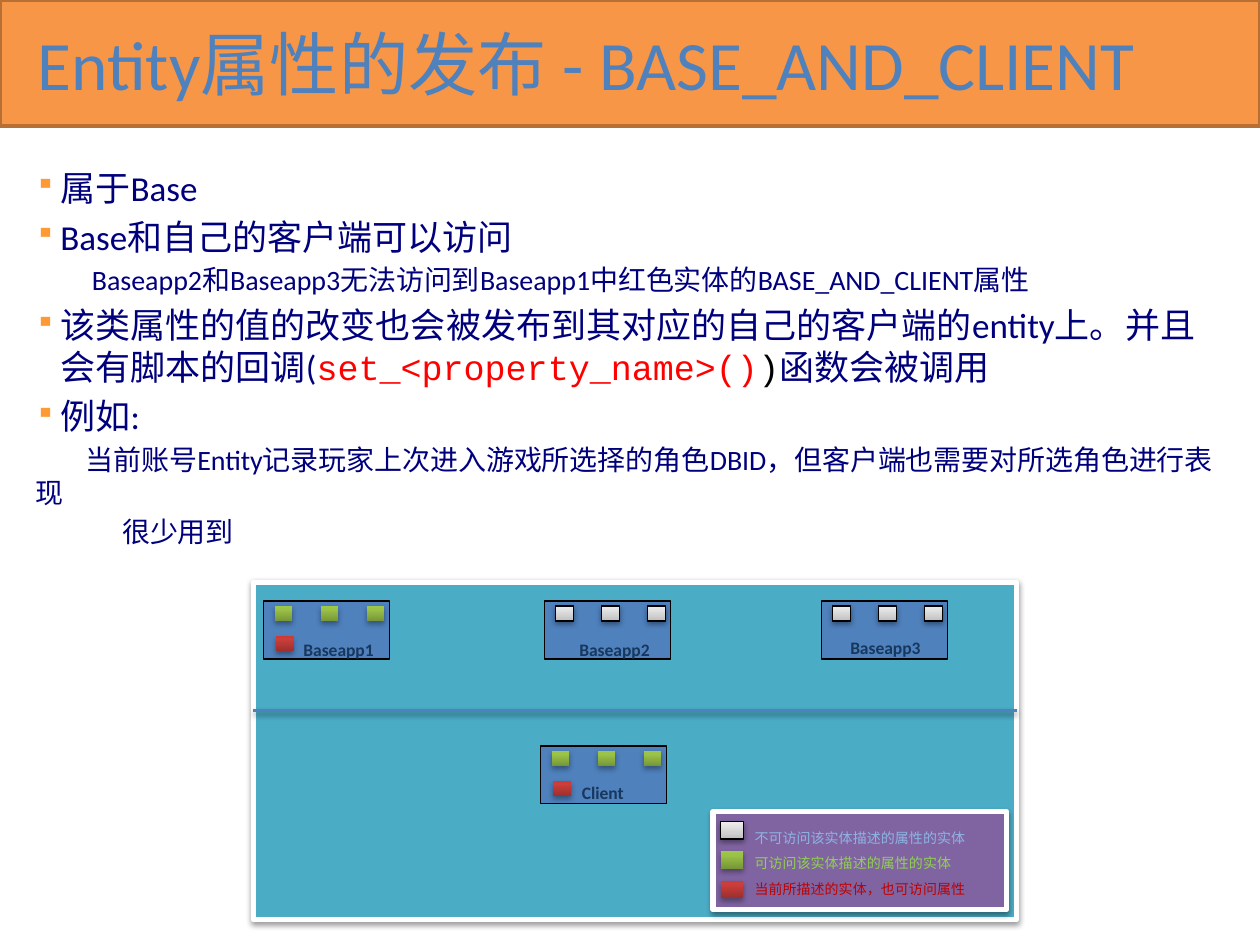
import copy

import pptx
import pptx.dml.color
import pptx.enum.shapes
import pptx.enum.text
import pptx.oxml.ns
import pptx.util
from lxml import etree

Inches, Pt = pptx.util.Inches, pptx.util.Pt
RGBColor = pptx.dml.color.RGBColor
qn = pptx.oxml.ns.qn
RECTANGLE = pptx.enum.shapes.MSO_SHAPE.RECTANGLE

WHITE, BLACK = RGBColor(255, 255, 255), RGBColor(0, 0, 0)
ORANGE, BROWN = RGBColor(0xF7, 0x96, 0x46), RGBColor(0xB7, 0x6F, 0x34)
BLUE, NAVY = RGBColor(0x4F, 0x81, 0xBD), RGBColor(0, 0, 0x7D)
TEAL, PURPLE = RGBColor(0x4B, 0xAC, 0xC6), RGBColor(0x80, 0x64, 0xA2)
LABEL, RED = RGBColor(0x17, 0x37, 0x5E), RGBColor(255, 0, 0)
PALE_BLUE, LIME = RGBColor(0x8E, 0xB4, 0xE3), RGBColor(0x92, 0xD0, 0x50)
DARK_RED = RGBColor(0xC0, 0, 0)
BULLET = "FF9933"

HIDDEN, VISIBLE, CURRENT = "hidden", "visible", "current"
GRADIENTS = {
    HIDDEN: ((0, "BDBDBD"), (0.35, "D1D1D1"), (1, "EEEEEE")),
    VISIBLE: ((0, "779737"), (0.8, "9BC348"), (1, "9DC746")),
    CURRENT: ((0, "9C2F2D"), (0.8, "CB3E3A"), (1, "CE3B37")),
}

TITLE = "Entity属性的发布 - BASE_AND_CLIENT"
# bulleted, size, first-line indent, runs
POINTS = [
    (True, 20, -0.2, [("属于Base", "Calibri", NAVY)]),
    (True, 20, -0.2, [("Base和自己的客户端可以访问", "Calibri", NAVY)]),
    (False, 16, 0.45, [("Baseapp2和Baseapp3无法访问到Baseapp1中红色实体的BASE_AND_CLIENT属性", "Calibri", NAVY)]),
    (True, 20, -0.2, [
        ("该类属性的值的改变也会被发布到其对应的自己的客户端的entity上。并且会有脚本的回调(", "Calibri", NAVY),
        ("set_<property_name>()", "Courier New", RED),
        (")", "Courier New", BLACK),
        ("函数会被调用", "Calibri", NAVY),
    ]),
    (True, 20, -0.2, [("例如:", "Calibri", NAVY)]),
    (False, 16, 0.4, [("当前账号Entity记录玩家上次进入游戏所选择的角色DBID，但客户端也需要对所选角色进行表现", "Calibri", NAVY)]),
    (False, 16, 0.69, [("很少用到", "Calibri", NAVY)]),
]
NODES = [
    ("Baseapp1", 2.09, 4.77, 0.22, 0.25, VISIBLE, True),
    ("Baseapp2", 4.32, 4.77, 0.18, 0.25, HIDDEN, False),
    ("Baseapp3", 6.52, 4.77, 0.13, 0.24, HIDDEN, False),
    ("Client", 4.29, 5.92, 0.23, 0.24, VISIBLE, True),
]
LEGEND = [
    ("不可访问该实体描述的属性的实体", PALE_BLUE, HIDDEN),
    ("可访问该实体描述的属性的实体", LIME, VISIBLE),
    ("当前所描述的实体，也可访问属性", DARK_RED, CURRENT),
]


def add_shadow(shape, opacity=38, distance=1.6):
    properties = shape._element.spPr
    effects = properties.find(qn("a:effectLst"))
    if effects is None:
        effects = etree.SubElement(properties, qn("a:effectLst"))
    shadow = etree.SubElement(
        effects, qn("a:outerShdw"), blurRad=str(Pt(3.1)),
        dist=str(Pt(distance)), dir="5400000", rotWithShape="0")
    color = etree.SubElement(shadow, qn("a:srgbClr"), val="000000")
    etree.SubElement(color, qn("a:alpha"), val=str(opacity * 1000))


def add_box(left, top, width, height, fill=None, line=None, weight=0.75):
    box = slide.shapes.add_shape(
        RECTANGLE, Inches(left), Inches(top), Inches(width), Inches(height))
    box.shadow.inherit = False
    if fill is not None:
        box.fill.solid()
        box.fill.fore_color.rgb = fill
    if line is None:
        box.line.fill.background()
    else:
        box.line.color.rgb = line
        box.line.width = Pt(weight)
    return box


def add_entity(kind, left, top, width=0.14, height=0.12):
    outlined = kind == HIDDEN
    entity = add_box(left, top, width, height, line=BLACK if outlined else None)
    entity.fill.gradient()
    entity.fill.gradient_angle = 90
    stops = entity._element.spPr.find(".//" + qn("a:gsLst"))
    stops.insert(1, copy.deepcopy(stops[0]))
    for stop, (position, color) in zip(entity.fill.gradient_stops, GRADIENTS[kind]):
        stop.position = position
        stop.color.rgb = RGBColor.from_string(color)
    if outlined:
        add_shadow(entity)
    else:
        add_shadow(entity, 35, 1.8)


def add_text_frame(left, top, width, height, wrap=True):
    frame = slide.shapes.add_textbox(
        Inches(left), Inches(top), Inches(width), Inches(height)).text_frame
    frame.word_wrap = wrap
    return frame


def add_run(paragraph, text, size, color, font="Calibri", bold=False):
    run = paragraph.add_run()
    run.text = text
    run.font.size = Pt(size)
    run.font.name = font
    run.font.bold = bold
    run.font.color.rgb = color


def next_paragraph(frame, index):
    return frame.paragraphs[0] if index == 0 else frame.add_paragraph()


def add_bullet(properties):
    color = etree.SubElement(properties, qn("a:buClr"))
    etree.SubElement(color, qn("a:srgbClr"), val=BULLET)
    etree.SubElement(properties, qn("a:buSzPct"), val="80000")
    etree.SubElement(properties, qn("a:buChar"), char="▪")


deck = pptx.Presentation()
deck.slide_width, deck.slide_height = Inches(10), Inches(7.5)
slide = deck.slides.add_slide(deck.slide_layouts[5])

title = slide.shapes.title
banner = add_box(0, 0, 10, 1, ORANGE, BROWN, 2)
title._element.addprevious(banner._element)
title.left, title.top = Inches(0.2), Inches(0.14)
title.width, title.height = Inches(9.69), Inches(0.71)
title.text_frame.vertical_anchor = pptx.enum.text.MSO_ANCHOR.MIDDLE
heading = title.text_frame.paragraphs[0]
heading.alignment = pptx.enum.text.PP_ALIGN.LEFT
add_run(heading, TITLE, 39.6, BLUE)

body = add_text_frame(0.22, 1.31, 9.57, 3.23)
body.margin_left, body.margin_top = Inches(0.06), Inches(0.01)
body.margin_right, body.margin_bottom = Inches(0.04), Inches(0.05)
for index, (bulleted, size, indent, runs) in enumerate(POINTS):
    point = next_paragraph(body, index)
    point.space_before = Pt(size * 0.2)
    properties = point._p.get_or_add_pPr()
    properties.set("marL", str(Inches(0.2 if bulleted else 0)))
    properties.set("indent", str(Inches(indent)))
    if bulleted:
        add_bullet(properties)
    for text, font, color in runs:
        add_run(point, text, size, color, font)

add_shadow(add_box(2.01, 4.62, 6.06, 2.68, TEAL, WHITE, 3))
add_shadow(add_box(5.66, 6.44, 2.33, 0.78, PURPLE, WHITE, 3))

for name, left, top, label_x, label_y, kind, has_current in NODES:
    add_box(left, top, 1, 0.46, BLUE, BLACK)
    label = add_text_frame(left + label_x, top + label_y, 0.87, 0.27)
    add_run(label.paragraphs[0], name, 10, LABEL, bold=True)
    for column in range(3):
        add_entity(kind, left + 0.09 + column * 0.365, top + 0.04)
    if has_current:
        add_entity(CURRENT, left + 0.1, top + 0.28)

legend = add_text_frame(5.89, 6.47, 2.1, 0.91)
for row, (text, color, kind) in enumerate(LEGEND):
    entry = next_paragraph(legend, row)
    entry.line_spacing = 1.5
    add_run(entry, text, 8, color)
    add_entity(kind, 5.72, 6.52 + row * 0.235, 0.18, 0.14)

divider = slide.shapes.add_connector(
    pptx.enum.shapes.MSO_CONNECTOR.STRAIGHT,
    Inches(2.01), Inches(5.64), Inches(8.07), Inches(5.64))
divider.line.color.rgb = BLUE
divider.line.width = Pt(2)
add_shadow(divider)

deck.save("out.pptx")
